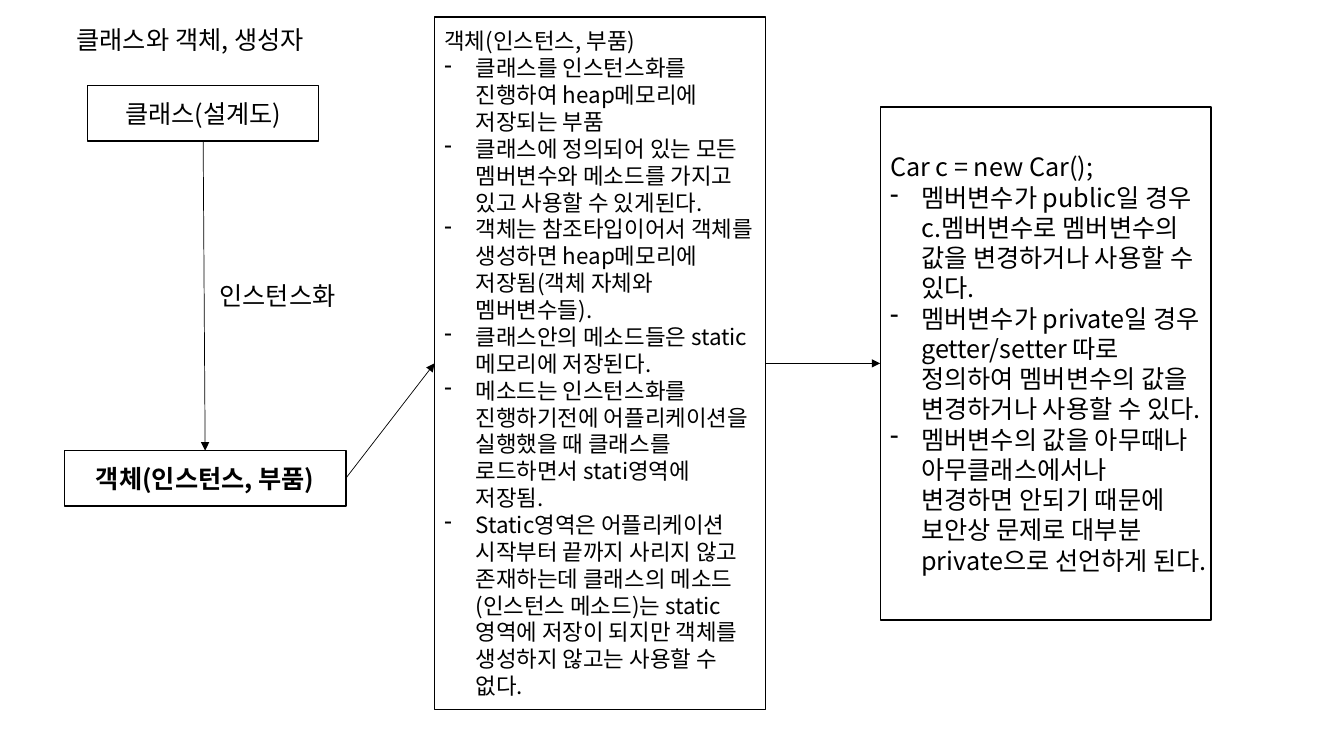
from pptx import Presentation
from pptx.dml.color import RGBColor
from pptx.enum.shapes import MSO_CONNECTOR as CONN, MSO_SHAPE as SHAPE
from pptx.enum.text import MSO_ANCHOR as ANCHOR, MSO_AUTO_SIZE as AUTO, PP_ALIGN as ALIGN
from pptx.oxml.ns import qn
from pptx.util import Inches, Pt
from lxml.etree import SubElement

FONT = "Noto Sans CJK KR"
INK = "000000"
INDENT = Inches(0.31)
TOP, RIGHT, BOTTOM, LEFT = 0, 3, 2, 1  # connection sites of a rectangle


def rgb(color):
    return RGBColor.from_string(color)


def write(tf, lines, size=18, bold=False, align=ALIGN.LEFT):
    """Fill a text frame; every line after the first gets a dash bullet."""
    tf.text = "\n".join(lines)
    for i, p in enumerate(tf.paragraphs):
        p.alignment = align
        if i:
            pPr = p._p.get_or_add_pPr()
            pPr.set("marL", str(INDENT))
            pPr.set("indent", str(-INDENT))
            SubElement(pPr, qn("a:buChar"), char="-")
        for r in p.runs:
            r.font.size, r.font.bold, r.font.name = Pt(size), bold, FONT
            r.font.color.rgb = rgb(INK)
            SubElement(r._r.get_or_add_rPr(), qn("a:ea"), typeface=FONT)


prs = Presentation()
prs.slide_width, prs.slide_height = Inches(13.33), Inches(7.5)
slide = prs.slides.add_slide(prs.slide_layouts[5])

# Title and the label beside the first arrow
title = slide.shapes.title
label = slide.shapes.add_textbox(0, 0, 0, 0)
for sp, text, area in [
    (title, "클래스와 객체, 생성자", (0.66, 0.19, 2.71, 0.4)),
    (label, "인스턴스화", (2.08, 2.73, 1.46, 0.4)),
]:
    sp.left, sp.top, sp.width, sp.height = map(Inches, area)
    tf = sp.text_frame
    tf.word_wrap, tf.auto_size = False, AUTO.SHAPE_TO_FIT_TEXT
    tf.vertical_anchor = ANCHOR.TOP
    write(tf, [text])

# Boxes: area, lines, size, bold, alignment
object_notes = [
    "객체(인스턴스, 부품)",
    "클래스를 인스턴스화를 진행하여 heap메모리에 저장되는 부품",
    "클래스에 정의되어 있는 모든 멤버변수와 메소드를 가지고 있고 사용할 수 있게된다.",
    "객체는 참조타입이어서 객체를 생성하면 heap메모리에 저장됨(객체 자체와 멤버변수들).",
    "클래스안의 메소드들은 static메모리에 저장된다.",
    "메소드는 인스턴스화를 진행하기전에 어플리케이션을 실행했을 때 클래스를 로드하면서 stati영역에 저장됨.",
    "Static영역은 어플리케이션 시작부터 끝까지 사리지 않고 존재하는데 클래스의 메소드(인스턴스 메소드)는 "
    "static영역에 저장이 되지만 객체를 생성하지 않고는 사용할 수 없다.",
]
access_notes = [
    "Car c = new Car();",
    "멤버변수가 public일 경우 c.멤버변수로 멤버변수의 값을 변경하거나 사용할 수 있다.",
    "멤버변수가 private일 경우 getter/setter 따로 정의하여 멤버변수의 값을 변경하거나 사용할 수 있다.",
    "멤버변수의 값을 아무때나 아무클래스에서나 변경하면 안되기 때문에 보안상 문제로 대부분 private으로 선언하게 된다.",
]
boxes = []
for area, lines, size, bold, align in [
    ((0.87, 0.85, 2.29, 0.55), ["클래스(설계도)"], 18, False, ALIGN.CENTER),
    ((0.64, 4.47, 2.79, 0.55), ["객체(인스턴스, 부품)"], 18, True, ALIGN.CENTER),
    ((4.31, 0.17, 3.28, 6.87), object_notes, 16, False, ALIGN.LEFT),
    ((8.73, 1.06, 3.28, 5.09), access_notes, 18, False, ALIGN.LEFT),
]:
    box = slide.shapes.add_shape(SHAPE.RECTANGLE, *map(Inches, area))
    box.shadow.inherit = False
    box.fill.background()
    box.line.color.rgb, box.line.width = rgb(INK), Pt(1)
    box.text_frame.vertical_anchor = ANCHOR.MIDDLE
    write(box.text_frame, lines, size, bold, align)
    boxes.append(box)

# Arrows glued from each box to the next
class_box, object_box, object_panel, access_panel = boxes
for start, start_site, end, end_site in [
    (class_box, BOTTOM, object_box, TOP),
    (object_box, RIGHT, object_panel, LEFT),
    (object_panel, RIGHT, access_panel, LEFT),
]:
    arrow = slide.shapes.add_connector(CONN.STRAIGHT, 0, 0, 0, 0)
    arrow.begin_connect(start, start_site)
    arrow.end_connect(end, end_site)
    arrow.line.color.rgb, arrow.line.width = rgb(INK), Pt(0.5)
    SubElement(arrow.line._get_or_add_ln(), qn("a:tailEnd"), type="triangle")
    SubElement(arrow._element.spPr, qn("a:effectLst"))

prs.save("out.pptx")
